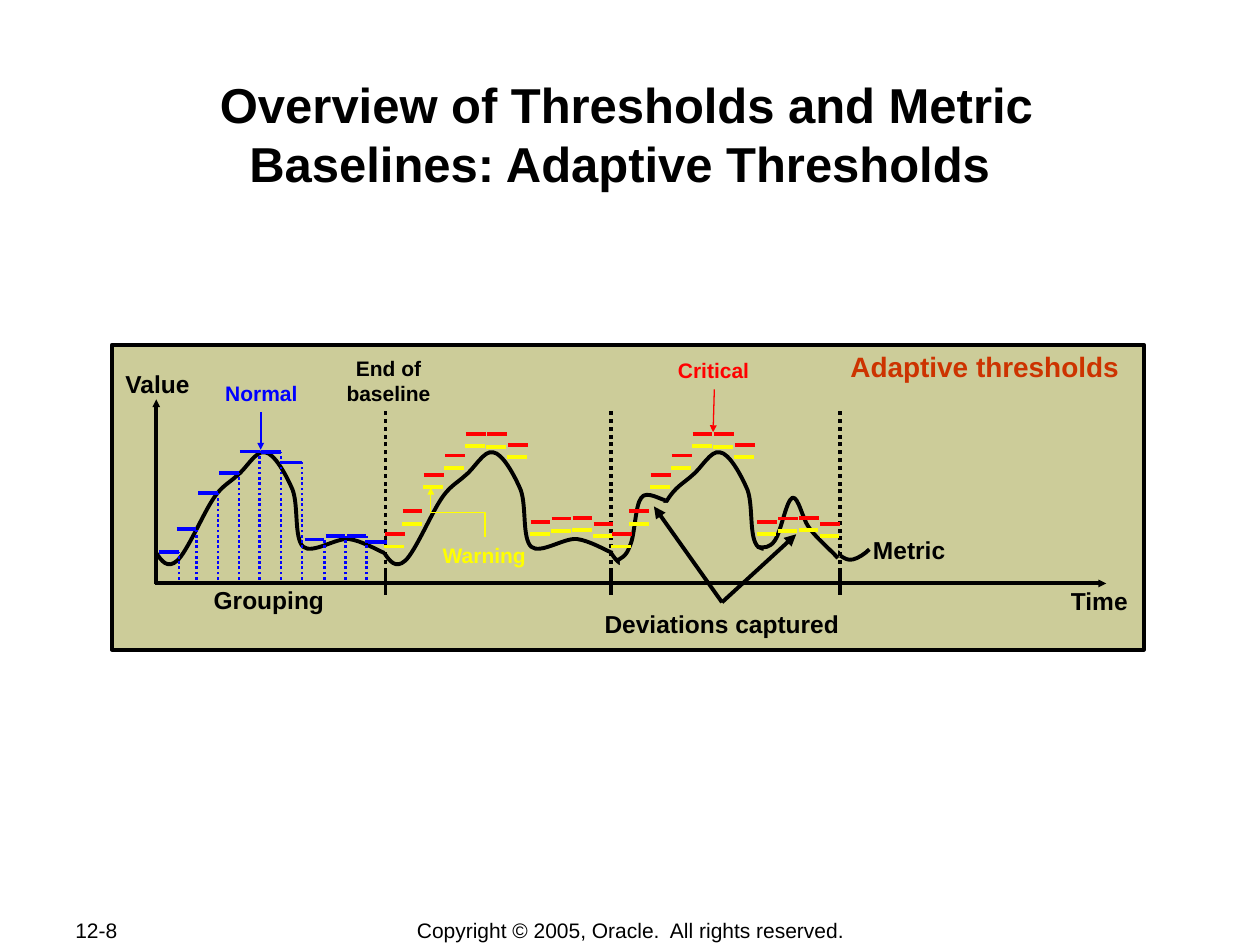
from lxml import etree
from pptx import Presentation
from pptx.dml.color import RGBColor
from pptx.enum import dml, shapes, text
from pptx.oxml import ns
from pptx.util import Pt

INK = {"black": "000000", "tan": "CCCC99", "rust": "CC3300",
       "blue": "0000FF", "yellow": "FFFF00", "red": "FF0000"}

# One day of the metric: x from the start of the day, y on the slide
DAY = [(0, 316), (3, 320.4), (6.4, 325.4), (12, 320.4), (17.5, 315.4),
       (26.5, 294.5), (32, 286), (37, 278), (41, 276.5), (46, 272),
       (51.4, 268), (57, 257), (62.2, 258.5), (67.5, 259), (74.3, 271.4),
       (78, 280), (81.4, 289.5), (78.7, 307.4), (84, 312.5), (89.3, 316.8),
       (102.5, 307.4), (110, 308), (117.5, 309), (126.8, 314.6), (130.4, 316)]
RISE = [(352.1, 320.4), (355, 319), (357.8, 318.2), (360, 311.8),
        (362.9, 306), (362.9, 288.7), (366.5, 284.4), (369.4, 280),
        (378, 285.8), (380.2, 285.8)]
SPIKE = [(432.7, 312.5), (436.3, 313.2), (439.9, 313.2), (442.8, 308.9),
         (446.4, 303.8), (449.3, 285.8), (452.9, 284.4), (456.5, 283.7),
         (458.6, 297.4), (463, 302.4), (467.3, 308.2), (476.6, 316), (478.8, 319)]
END = [(480.2, 317.5), (482.4, 319), (484.6, 320.4), (487.4, 319.7),
       (490.3, 319), (493.9, 316.8), (496.8, 313.9)]

# Normal level of each time group: x from the start of the day, y
LEVELS = [(0, 315.4), (10.1, 302.3), (22.3, 281.6), (34.3, 270.5),
          (46.2, 258), (58.3, 258.4), (70.3, 264.3), (83.2, 308.3),
          (95.2, 306.5), (107.2, 306.2), (119.2, 309.6)]
STEP = 11.3
FLOOR = 331.2
DAYS = 89.3, 219.6, 349.2
BOUNDS = 220.3, 349.2, 480.2

# Text, left, top, width, height, size, colour
LABELS = [
    ("Adaptive thresholds", 478.8, 196, 167.8, 26.6, 16, "rust"),
    ("End of\vbaseline", 191.1, 199.7, 61.9, 36, 12, "black"),
    ("Metric", 491.8, 302.4, 55.4, 24.5, 14, "black"),
    ("Time", 604.8, 331.2, 46.8, 24.5, 14, "black"),
    ("Value", 64.1, 207.6, 51.8, 24.5, 14, "black"),
    ("Deviations captured", 338.4, 344.4, 148.3, 24.5, 14, "black"),
    ("Critical", 380.4, 200.9, 54.7, 21.6, 12, "red"),
    ("Warning", 245.8, 306.7, 61.9, 21.6, 12, "yellow"),
    ("Normal", 121.7, 213.9, 55.4, 21.6, 12, "blue"),
    ("Grouping", 115.2, 330.7, 77, 24.5, 14, "black"),
]


def color(name):
    return RGBColor.from_string(INK[name])


def stroke(item, name, width):
    item.line.color.rgb = color(name)
    item.line.width = Pt(width)


def add_line(slide, start, end, name="black", width=2.25, dots=False,
             arrow=None, kind=shapes.MSO_CONNECTOR.STRAIGHT):
    """Draw a connector; arrow is the size of its head, sm or med."""
    line = slide.shapes.add_connector(kind, *map(Pt, (*start, *end)))
    stroke(line, name, width)
    if dots:
        line.line.dash_style = dml.MSO_LINE.ROUND_DOT
    props = line._element.spPr
    if arrow:
        tip = etree.SubElement(props.find(ns.qn("a:ln")), ns.qn("a:tailEnd"))
        tip.set("type", "triangle")
        tip.set("w", arrow)
        tip.set("len", arrow)
    etree.SubElement(props, ns.qn("a:effectLst"))
    return line


def add_curve(slide, points):
    """Draw Bezier curves: a start, then three points for each segment."""
    spots = [(Pt(x), Pt(y)) for x, y in points]
    build = slide.shapes.build_freeform(*spots[0])
    build.add_line_segments(spots[1:], close=False)
    curve = build.convert_to_shape()
    curve.shadow.inherit = False
    curve.fill.background()
    stroke(curve, "black", 2.25)
    legs = list(curve._element.iter(ns.qn("a:lnTo")))
    route = legs[0].getparent()
    for i in range(0, len(legs), 3):
        bend = etree.SubElement(route, ns.qn("a:cubicBezTo"))
        for leg in legs[i:i + 3]:
            bend.append(leg[0])
            route.remove(leg)


def add_rect(slide, *box, edge=False):
    rect = slide.shapes.add_shape(shapes.MSO_SHAPE.RECTANGLE, *map(Pt, box))
    rect.shadow.inherit = False
    rect.fill.solid()
    rect.fill.fore_color.rgb = color("tan")
    if edge:
        stroke(rect, "black", 2.25)
    else:
        rect.line.fill.background()


def add_text(slide, words, x, y, w, h, size, name="black", bold=True,
             align=text.PP_ALIGN.CENTER, anchor=text.MSO_ANCHOR.TOP,
             side=0, top=3.6, wrap=False):
    frame = slide.shapes.add_textbox(*map(Pt, (x, y, w, h))).text_frame
    frame.word_wrap = wrap
    frame.vertical_anchor = anchor
    frame.margin_left = frame.margin_right = Pt(side)
    frame.margin_top = frame.margin_bottom = Pt(top)
    para = frame.paragraphs[0]
    para.text = words
    para.alignment = align
    for run in para.runs:
        font = run.font
        font.name, font.size, font.bold = "Arial", Pt(size), bold
        font.color.rgb = color(name)


def add_steps(slide, start, name, lift=0):
    for x, y in LEVELS:
        left, top = start + x, y - lift
        add_line(slide, (left, top), (left + STEP, top), name)


def add_groups(slide, start):
    for x, y in LEVELS[:-1]:
        side = start + x + STEP
        add_line(slide, (side, FLOOR), (side, y), "blue", 1.5, dots=True)


def add_metric(slide):
    for start in DAYS:
        add_curve(slide, [(start + x, y) for x, y in DAY])
    for x in BOUNDS:
        add_line(slide, (x, 326.2), (x, 339.8))
        add_line(slide, (x, FLOOR), (x, 233.6), dots=True)
    # Cover parts of the last day, then draw its deviations
    add_rect(slide, 354.2, 287.3, 33.8, 37.4)
    add_curve(slide, RISE)
    add_rect(slide, 436.3, 287.3, 42.5, 36)
    add_curve(slide, SPIKE)
    add_curve(slide, END)


def add_pointers(slide):
    for tip in (373.7, 289.4), (455, 305.3):
        add_line(slide, (412.6, 344.2), tip, arrow="med")
    add_line(slide, (408.2, 222.5), (407.5, 247), "red", 0.75, arrow="sm")
    add_line(slide, (149, 235.4), (149, 257), "blue", 1, arrow="sm")
    elbow = add_line(slide, (247.7, 308.2), (275.7, 277.2), "yellow", 0.75,
                     arrow="sm", kind=shapes.MSO_CONNECTOR.ELBOW)
    # A quarter turn makes the elbow leave upwards
    elbow._element.spPr.find(ns.qn("a:xfrm")).set("rot", "16200000")


def main():
    deck = Presentation()
    deck.slide_width, deck.slide_height = Pt(720), Pt(540)
    slide = deck.slides.add_slide(deck.slide_layouts[6])
    middle = text.MSO_ANCHOR.MIDDLE
    add_text(slide, "12-8", 36, 524.2, 76.3, 14.4, 12, bold=False,
             align=text.PP_ALIGN.LEFT, anchor=middle, side=7.2)
    add_text(slide, "Copyright © 2005, Oracle.  All rights reserved.",
             198.7, 524.2, 323.3, 15.1, 12, bold=False, anchor=middle)
    add_text(slide, "Overview of Thresholds and Metric Baselines: Adaptive Thresholds ",
             70, 42, 576, 69, 28, side=0.72, top=0.72, wrap=True)

    add_rect(slide, 64, 197, 589.7, 174.2, edge=True)
    add_line(slide, (89.3, 334), (89.3, 228.2), arrow="sm")
    add_line(slide, (88.6, 333.4), (632.2, 333.4), arrow="sm")
    add_metric(slide)
    add_steps(slide, 90.9, "blue")
    for start in DAYS[1:]:
        add_steps(slide, start, "yellow", 3.1)
        add_steps(slide, start + 0.4, "red", 10.2)
    add_pointers(slide)
    add_groups(slide, 90.9)
    for label in LABELS:
        add_text(slide, *label)
    deck.save("out.pptx")


if __name__ == "__main__":
    main()
